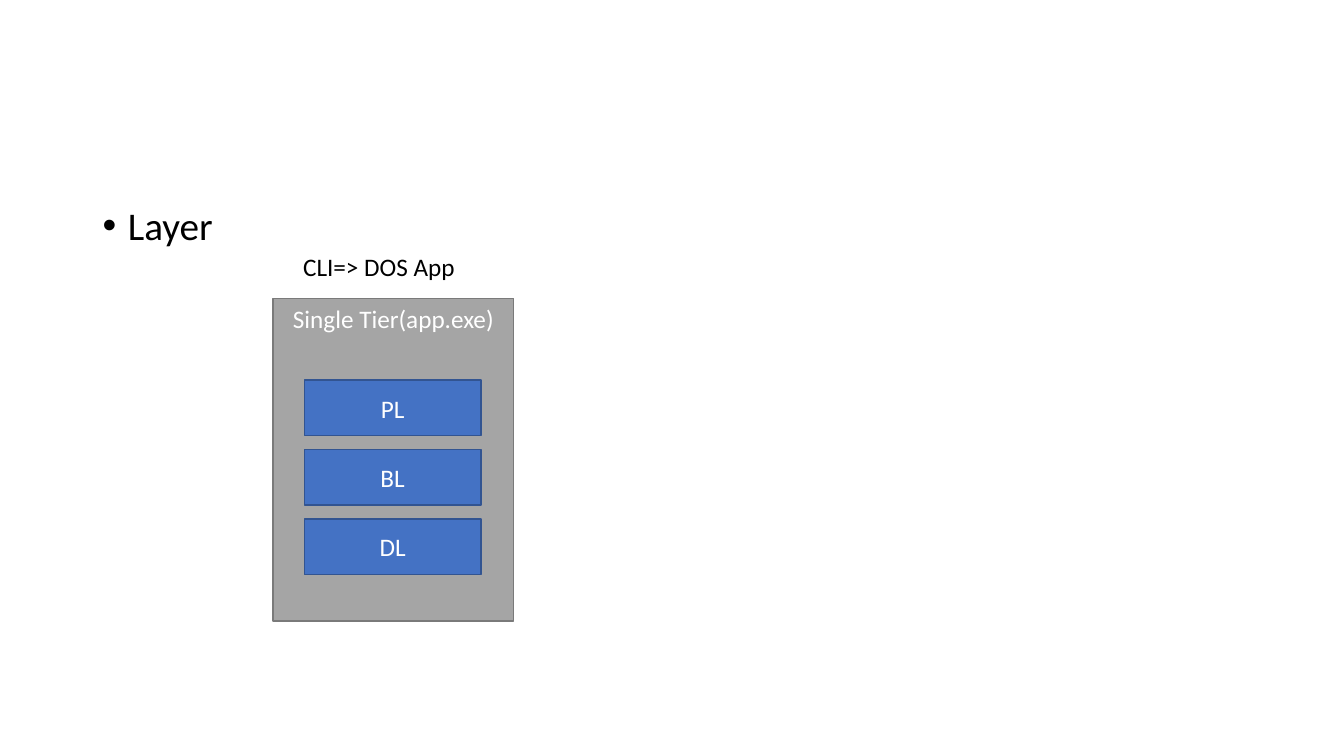
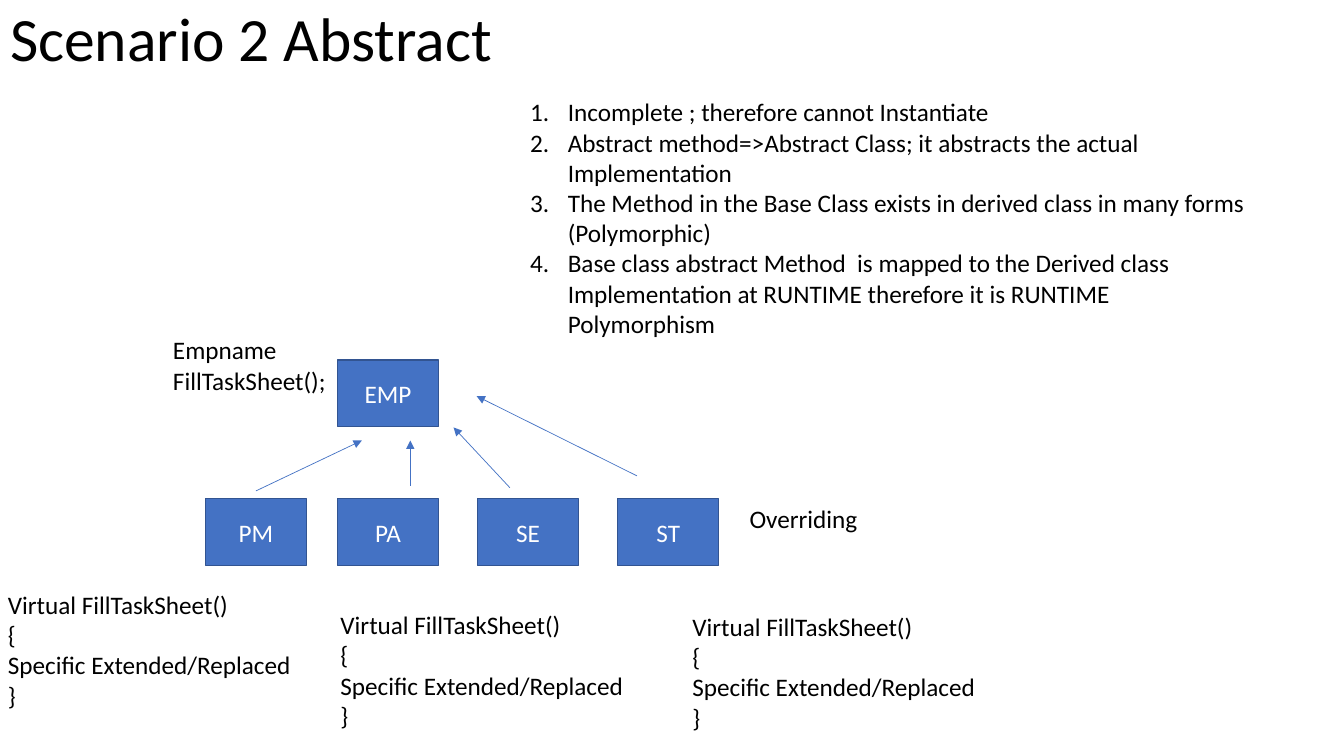
from lxml.etree import SubElement
from pptx import Presentation
from pptx.dml.color import RGBColor
from pptx.enum.shapes import MSO_CONNECTOR as Link, MSO_SHAPE as Shape
from pptx.enum.text import MSO_ANCHOR as Anchor, MSO_AUTO_SIZE as Fit, PP_ALIGN as Align
from pptx.oxml.ns import qn
from pptx.util import Cm, Pt

FONT = "Calibri"
BLACK, WHITE = "000000", "FFFFFF"
BLUE, NAVY = "4472C4", "325491"
GRAY, DARK = "A5A5A5", "7A7A7A"
CODE = ["Virtual FillTaskSheet()", "{", "Specific Extended/Replaced", "}"]
RULES = [
    "Incomplete ; therefore cannot Instantiate",
    "Abstract method=>Abstract Class; it abstracts the actual Implementation",
    "The Method in the Base Class exists in derived class in many forms (Polymorphic)",
    "Base class abstract Method  is mapped to the Derived class "
    "Implementation at RUNTIME therefore it is RUNTIME Polymorphism",
]


def color(code):
    return RGBColor.from_string(code)


def place(shape, x, y, w, h):
    shape.left, shape.top, shape.width, shape.height = map(Cm, (x, y, w, h))


def style(par, size=18, code=BLACK, align=Align.LEFT):
    par.alignment = align
    font = par.font
    font.name, font.size = FONT, Pt(size)
    font.color.rgb = color(code)


def mark(par, indent, tag, **attrs):
    props = par._p.get_or_add_pPr()
    props.set("marL", str(Cm(indent)))
    props.set("indent", str(-Cm(indent)))
    SubElement(props, qn(tag), attrs)


def holder(shape, area, text, size, anchor):
    place(shape, *area)
    frame = shape.text_frame
    frame.text = text
    frame.auto_size = Fit.NONE
    frame.vertical_anchor = anchor
    return frame.paragraphs[0]


def tight(par, size):
    par.line_spacing = 0.9
    par.space_before = Pt(0)
    style(par, size)


def note(slide, x, y, w, h, lines, numbered=False):
    frame = slide.shapes.add_textbox(Cm(x), Cm(y), Cm(w), Cm(h)).text_frame
    frame.word_wrap = numbered
    frame.auto_size = Fit.SHAPE_TO_FIT_TEXT
    frame.text = "\n".join(lines)
    for par in frame.paragraphs:
        if numbered:
            mark(par, 0.95, "a:buAutoNum", type="arabicPeriod")
        style(par)


def box(slide, x, y, w, h, text, fill=BLUE, edge=NAVY, anchor=Anchor.MIDDLE):
    shape = slide.shapes.add_shape(Shape.RECTANGLE, Cm(x), Cm(y), Cm(w), Cm(h))
    shape.shadow.inherit = False
    shape.fill.solid()
    shape.fill.fore_color.rgb = color(fill)
    shape.line.color.rgb = color(edge)
    shape.line.width = Pt(1)
    frame = shape.text_frame
    frame.text = text
    frame.vertical_anchor = anchor
    style(frame.paragraphs[0], code=WHITE, align=Align.CENTER)


def arrow(slide, *ends):
    link = slide.shapes.add_connector(Link.STRAIGHT, *map(Cm, ends))
    link.line.color.rgb = color(BLUE)
    link.line.width = Pt(0.5)
    SubElement(link.line._get_or_add_ln(), qn("a:tailEnd"), type="triangle")
    SubElement(link._element.spPr, qn("a:effectLst"))


def layers(deck):
    slide = deck.slides.add_slide(deck.slide_layouts[1])
    title = slide.shapes.title._element
    title.getparent().remove(title)
    area = (2.33, 5.08, 29.21, 12.09)
    par = holder(slide.placeholders[1], area, "Layer", 28, Anchor.TOP)
    mark(par, 0.64, "a:buChar", char="•")
    tight(par, 28)
    box(slide, 6.88, 7.52, 6.07, 8.13, "Single Tier(app.exe)", GRAY, DARK, Anchor.TOP)
    for row, name in enumerate(["PL", "BL", "DL"]):
        box(slide, 7.67, 9.58 + 1.75 * row, 4.45, 1.4, name)
    note(slide, 7.39, 6.22, 4.39, 1.02, ["CLI=> DOS App"])


def abstract(deck):
    slide = deck.slides.add_slide(deck.slide_layouts[5])
    area = (0, -0.33, 29.21, 2.74)
    par = holder(slide.shapes.title, area, "Scenario 2 Abstract", 44, Anchor.MIDDLE)
    tight(par, 44)
    box(slide, 8.51, 9.07, 2.54, 1.68, "EMP")
    for x, name in [(5.18, "PM"), (8.51, "PA"), (12.04, "SE"), (15.57, "ST")]:
        box(slide, x, 12.57, 2.54, 1.68, name)
    for ends in [
        (6.45, 12.37, 9.12, 11.1),
        (10.34, 12.24, 10.34, 11.1),
        (12.85, 12.29, 11.43, 10.77),
        (16.05, 11.99, 12.01, 9.98),
    ]:
        arrow(slide, *ends)
    note(slide, 4.11, 8.31, 4.39, 1.8, ["Empname", "FillTaskSheet();"])
    note(slide, 18.64, 12.57, 3.25, 1.02, ["Overriding"])
    for x, y in [(-0.05, 14.72), (8.33, 15.23), (17.2, 15.28)]:
        note(slide, x, y, 7.72, 3.35, CODE)
    note(slide, 13.11, 2.31, 18.8, 7.19, RULES, numbered=True)


def main():
    deck = Presentation()
    deck.slide_width, deck.slide_height = Cm(33.87), Cm(19.05)
    layers(deck)
    abstract(deck)
    deck.save("out.pptx")


if __name__ == "__main__":
    main()
